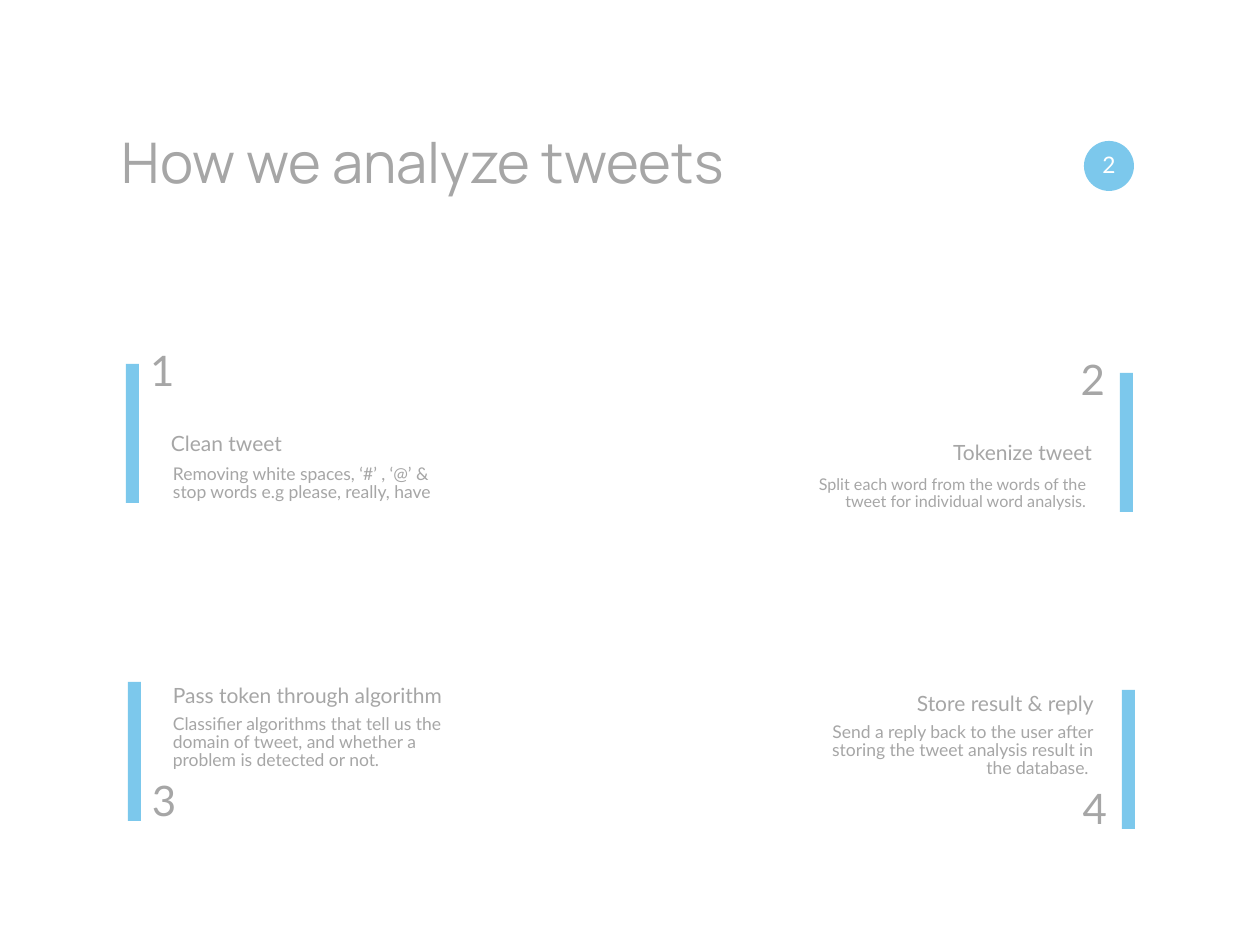
"""Build the slide on how tweets are analyzed in four steps."""
from pptx import Presentation, util as u
from pptx.dml import color
from pptx.enum import shapes, text

SCALE = u.Inches(1) / 126
GREY, BLUE, WHITE = "A6A6A6", "7CC8EC", "FFFFFF"
LEFT, CENTER, RIGHT = text.PP_ALIGN.LEFT, text.PP_ALIGN.CENTER, text.PP_ALIGN.RIGHT
TOP, MIDDLE, BOTTOM = text.MSO_ANCHOR.TOP, text.MSO_ANCHOR.MIDDLE, text.MSO_ANCHOR.BOTTOM

TITLE = "How we analyze tweets"
PAGE = "2"
BAR_SIZE = (13, 139)
NUMBER_SIZE = (94, 53)
HEADING_SIZE = (275, 30)

UPPER = dict(number=-4, heading=62, body=103, anchor=MIDDLE)
LOWER = dict(number=90, heading=-4, body=35, anchor=BOTTOM)
LEFT_GAPS = dict(number=24, heading=45, align=LEFT)
RIGHT_GAPS = dict(number=15, heading=28, align=RIGHT)

STEPS = [
    dict(number="1", heading="Clean tweet",
         body="Removing white spaces, ‘#’ , ‘@’ & stop words e.g please, really, have",
         bar=(126, 364), row=UPPER, column=LEFT_GAPS, body_gap=47, body_points=10),
    dict(number="2", heading="Tokenize tweet",
         body="Split each word from the words of the tweet for individual word analysis.",
         bar=(1120, 373), row=UPPER, column=RIGHT_GAPS, body_gap=34, body_points=9.2),
    dict(number="3", heading="Pass token through algorithm",
         body="Classifier algorithms that tell us the domain of tweet, and whether a problem is detected or not.",
         bar=(128, 682), row=LOWER, column=LEFT_GAPS, body_gap=45, body_points=10),
    dict(number="4", heading="Store result & reply",
         body="Send a reply back to the user after storing the tweet analysis result in the database. ",
         bar=(1122, 690), row=LOWER, column=RIGHT_GAPS, body_gap=29, body_points=10),
]


def rgb(value):
    return color.RGBColor.from_string(value)


def place(*lengths):
    return [round(length * SCALE) for length in lengths]


def add_block(kind, *box):
    shape = slide.shapes.add_shape(kind, *place(*box))
    shape.shadow.inherit = False
    shape.fill.solid()
    shape.fill.fore_color.rgb = rgb(BLUE)
    shape.line.fill.background()
    return shape


def write(shape, words, points, align=LEFT, anchor=TOP, font="Lato", fill=GREY, spacing=u.Pt(10)):
    frame = shape.text_frame
    frame.word_wrap = True
    frame.vertical_anchor = anchor
    frame.margin_left = frame.margin_right = frame.margin_top = frame.margin_bottom = 0
    paragraph = frame.paragraphs[0]
    paragraph.alignment = align
    paragraph.line_spacing = spacing
    run = paragraph.add_run()
    run.text = words
    run.font.size = u.Pt(points)
    run.font.name = font
    run.font.color.rgb = rgb(fill)


def add_text(box, words, points, **style):
    write(slide.shapes.add_textbox(*place(*box)), words, points, **style)


def add_step(step):
    bar_left, bar_top = step["bar"]
    row, column = step["row"], step["column"]
    add_block(shapes.MSO_SHAPE.RECTANGLE, bar_left, bar_top, *BAR_SIZE)
    parts = [
        ("number", NUMBER_SIZE, column["number"], 24, row["anchor"]),
        ("heading", HEADING_SIZE, column["heading"], 12, BOTTOM),
        ("body", (271, 72), step["body_gap"], step["body_points"], TOP),
    ]
    for name, (width, height), gap, points, anchor in parts:
        left = bar_left + gap if column["align"] == LEFT else bar_left - gap - width
        add_text((left, bar_top + row[name], width, height), step[name], points,
                 align=column["align"], anchor=anchor)


presentation = Presentation()
presentation.slide_width, presentation.slide_height = place(1260, 945)
slide = presentation.slides.add_slide(presentation.slide_layouts[6])

add_text((122, 135, 926, 79), TITLE, 32, font="Manrope", spacing=0.9)
for step in STEPS:
    add_step(step)
badge = add_block(shapes.MSO_SHAPE.OVAL, 1084, 141, 50, 50)
write(badge, PAGE, 13, align=CENTER, anchor=MIDDLE, fill=WHITE, spacing=0.9)

presentation.save("out.pptx")
